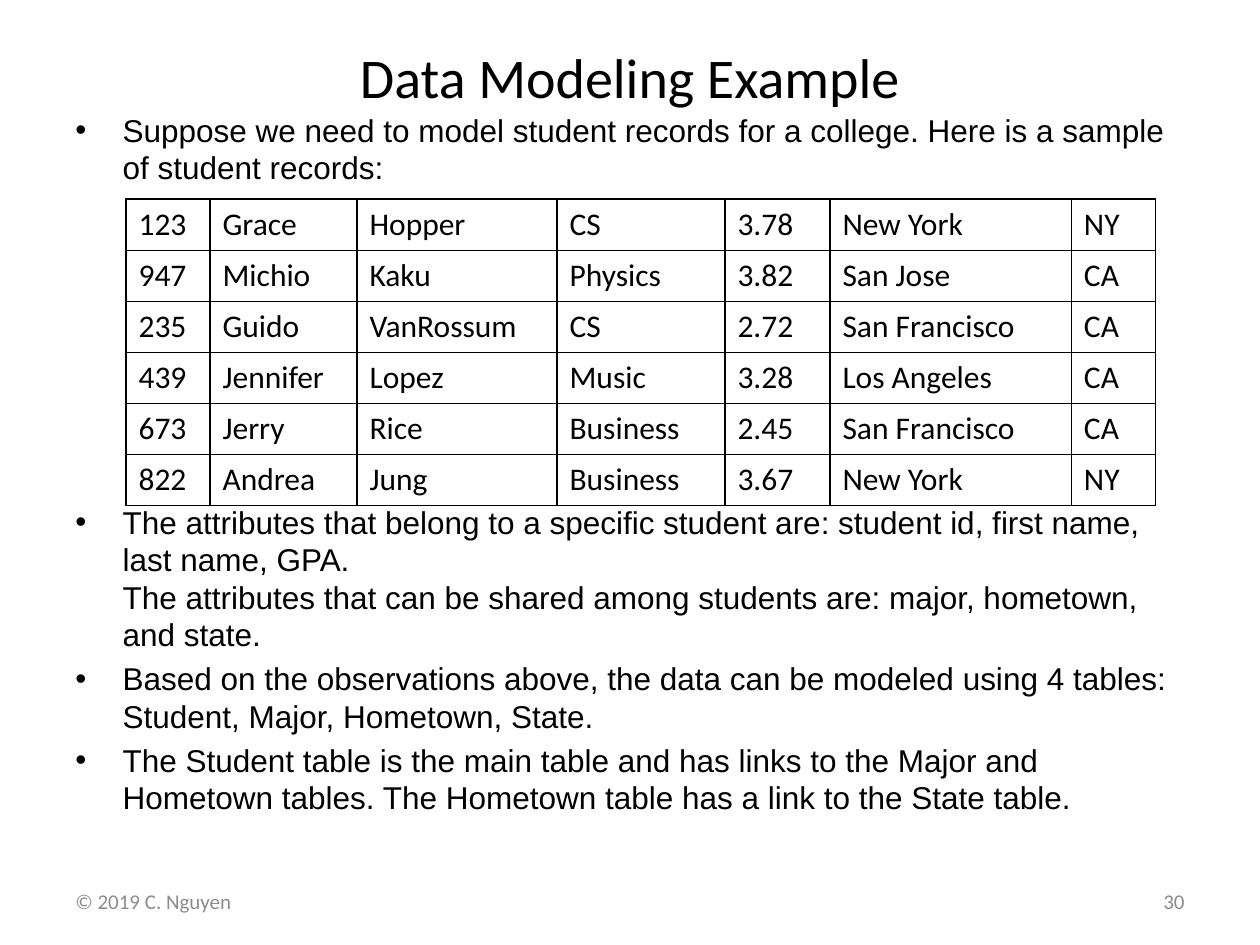
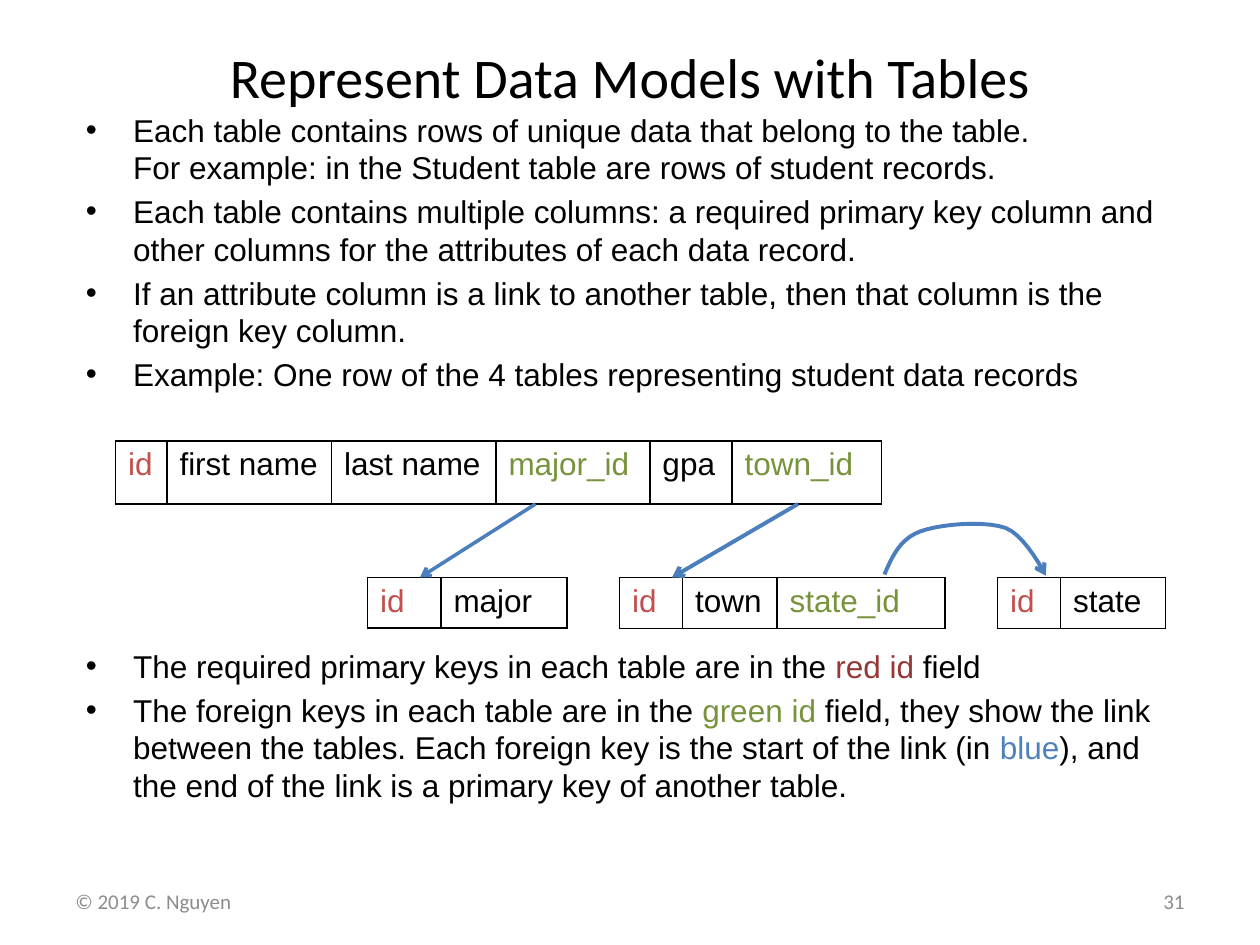
from dataclasses import dataclass

from lxml import etree
from pptx import Presentation
from pptx.dml.color import RGBColor
from pptx.enum.shapes import MSO_CONNECTOR
from pptx.enum.text import MSO_ANCHOR, MSO_AUTO_SIZE, PP_ALIGN
from pptx.oxml.ns import qn
from pptx.util import Pt

LEFT, CENTER, RIGHT = PP_ALIGN.LEFT, PP_ALIGN.CENTER, PP_ALIGN.RIGHT
MIDDLE = MSO_ANCHOR.MIDDLE
STRAIGHT = MSO_CONNECTOR.STRAIGHT
TITLE_ONLY = 5


@dataclass(frozen=True)
class Theme:
    black: str = "000000"
    white: str = "FFFFFF"
    grey: str = "8C8C8C"
    primary_key: str = "C0504D"
    foreign_key: str = "77933C"
    dark_red: str = "953735"
    blue: str = "4F81BD"
    link: str = "4B7EBC"
    heading_font: str = "Calibri"
    body_font: str = "Arial"
    title_size: float = 32
    body_size: float = 18
    footer_size: float = 12
    line_pitch: float = 21.5
    paragraph_gap: float = 3.6
    bullet_indent: float = 27


THEME = Theme()

# Content: a bullet is a list of (text, colour) runs or a plain string
COPYRIGHT = "© 2019 C. Nguyen"

MODELING_INTRO = [
    "Suppose we need to model student records for a college. Here is a sample of student records:",
]
MODELING_NOTES = [
    "The attributes that belong to a specific student are: student id, first name, last name, GPA.\n"
    "The attributes that can be shared among students are: major, hometown, and state.",
    "Based on the observations above, the data can be modeled using 4 tables: "
    "Student, Major, Hometown, State.",
    "The Student table is the main table and has links to the Major and Hometown tables. "
    "The Hometown table has a link to the State table.",
]
STUDENTS = [
    ("123", "Grace", "Hopper", "CS", "3.78", "New York", "NY"),
    ("947", "Michio", "Kaku", "Physics", "3.82", "San Jose", "CA"),
    ("235", "Guido", "VanRossum", "CS", "2.72", "San Francisco", "CA"),
    ("439", "Jennifer", "Lopez", "Music", "3.28", "Los Angeles", "CA"),
    ("673", "Jerry", "Rice", "Business", "2.45", "San Francisco", "CA"),
    ("822", "Andrea", "Jung", "Business", "3.67", "New York", "NY"),
]
STUDENT_WIDTHS = (48, 84, 114.3, 96, 60, 138, 48)

TABLE_RULES = [
    "Each table contains rows of unique data that belong to the table.\n"
    "For example: in the Student table are rows of student records.",
    "Each table contains multiple columns: a required primary key column and "
    "other columns for the attributes of each data record.",
    "If an attribute column is a link to another table, then that column is the foreign key column.",
    "Example: One row of the 4 tables representing student data records",
]
KEY_NOTES = [
    [("The required primary keys in each table are in the ", THEME.black),
     ("red id ", THEME.dark_red), ("field", THEME.black)],
    [("The foreign keys in each table are in the ", THEME.black),
     ("green id ", THEME.foreign_key),
     ("field, they show the link between the tables. "
      "Each foreign key is the start of the link (in ", THEME.black),
     ("blue", THEME.blue),
     ("), and the end of the link is a primary key of another table.", THEME.black)],
]
# left, top, row height, column widths, column names
SCHEMAS = [
    (66, 252, 36, (29.4, 94, 94, 88, 47, 85.4),
     ("id", "first name", "last name", "major_id", "gpa", "town_id")),
    (210, 330, 27.7, (42, 72), ("id", "major")),
    (354, 330, 29.2, (36, 54, 96), ("id", "town", "state_id")),
    (570, 330, 29.2, (36, 60), ("id", "state")),
]
# start, end, line width
KEY_LINKS = [((306, 288), (240, 330), 2), ((456, 288), (384, 330), 2.25)]
STATE_LINK_WIDTH = 2.25
STATE_LINK_CURVES = [
    ((505.4, 328.3), (509.8, 318.2), (514.1, 308.2), (525.6, 303.8)),
    ((525.6, 303.8), (537.1, 299.5), (562.3, 297.4), (574.6, 301.7)),
    ((574.6, 301.7), (586.1, 306), (597.6, 329), (597.6, 329)),
]


def style(font, name, size, color=THEME.black):
    font.name, font.size = name, Pt(size)
    font.color.rgb = RGBColor.from_string(color)


def add_child(parent, tag, **attributes):
    return etree.SubElement(parent, qn(tag), attributes)


# Shared parts
def add_footer(slide, left, text, align):
    box = slide.shapes.add_textbox(Pt(left), Pt(500.4), Pt(168), Pt(28.8))
    frame = box.text_frame
    frame.word_wrap, frame.vertical_anchor = True, MIDDLE
    paragraph = frame.paragraphs[0]
    paragraph.text, paragraph.alignment = text, align
    style(paragraph.font, THEME.heading_font, THEME.footer_size, THEME.grey)


def new_slide(deck, title, number):
    slide = deck.slides.add_slide(deck.slide_layouts[TITLE_ONLY])
    heading = slide.shapes.title
    heading.left, heading.top, heading.width, heading.height = Pt(36), Pt(12.2), Pt(648), Pt(62.6)
    frame = heading.text_frame
    frame.text = title
    frame.vertical_anchor, frame.auto_size = MIDDLE, MSO_AUTO_SIZE.NONE
    frame.paragraphs[0].alignment = CENTER
    style(frame.paragraphs[0].font, THEME.heading_font, THEME.title_size)
    add_footer(slide, 36, COPYRIGHT, LEFT)
    add_footer(slide, 516, str(number), RIGHT)
    return slide


def add_bullets(slide, left, top, width, height, bullets):
    frame = slide.shapes.add_textbox(Pt(left), Pt(top), Pt(width), Pt(height)).text_frame
    frame.word_wrap = True
    for index, bullet in enumerate(bullets):
        paragraph = frame.add_paragraph() if index else frame.paragraphs[0]
        paragraph.line_spacing = Pt(THEME.line_pitch)
        paragraph.space_before = Pt(THEME.paragraph_gap if index else 0)
        style(paragraph.font, THEME.body_font, THEME.body_size)
        if isinstance(bullet, str):
            paragraph.text = bullet.replace("\n", "\v")
        else:
            for text, color in bullet:
                run = paragraph.add_run()
                run.text = text
                style(run.font, THEME.body_font, THEME.body_size, color)
        properties = paragraph._p.get_or_add_pPr()
        indent = Pt(THEME.bullet_indent)
        properties.set("marL", str(indent))
        properties.set("indent", str(-indent))
        bullet_font = etree.Element(qn("a:buFont"), typeface=THEME.body_font)
        bullet_mark = etree.Element(qn("a:buChar"), char="•")
        defaults = properties.find(qn("a:defRPr"))
        defaults.addprevious(bullet_font)
        defaults.addprevious(bullet_mark)


def border_cell(cell):
    properties = cell._tc.get_or_add_tcPr()
    for position, side in enumerate(("a:lnL", "a:lnR", "a:lnT", "a:lnB")):
        line = etree.Element(qn(side), w=str(Pt(1)))
        add_child(add_child(line, "a:solidFill"), "a:srgbClr", val=THEME.black)
        properties.insert(position, line)


def key_color(name):
    if name == "id":
        return THEME.primary_key
    return THEME.foreign_key if name.endswith("_id") else THEME.black


def add_grid(slide, left, top, row_height, widths, rows, font_name):
    table = slide.shapes.add_table(len(rows), len(widths), Pt(left), Pt(top),
                                   Pt(sum(widths)), Pt(row_height * len(rows))).table
    table.first_row = table.horz_banding = False
    for column, width in zip(table.columns, widths):
        column.width = Pt(width)
    for row, values in zip(table.rows, rows):
        row.height = Pt(row_height)
        for cell, value in zip(row.cells, values):
            cell.text = value
            style(cell.text_frame.paragraphs[0].font, font_name, THEME.body_size, key_color(value))
            cell.fill.solid()
            cell.fill.fore_color.rgb = RGBColor.from_string(THEME.white)
            border_cell(cell)


# Links between tables
def style_link(line, width):
    line.color.rgb = RGBColor.from_string(THEME.link)
    line.width = Pt(width)
    add_child(line._get_or_add_ln(), "a:tailEnd", type="arrow")


def add_link(slide, start, end, width):
    link = slide.shapes.add_connector(STRAIGHT, *map(Pt, start + end))
    style_link(link.line, width)
    add_child(link._element.spPr, "a:effectLst")


def curve_points(curve, steps=10):
    for step in range(1, steps + 1):
        t = step / steps
        weights = ((1 - t) ** 3, 3 * t * (1 - t) ** 2, 3 * t ** 2 * (1 - t), t ** 3)
        yield tuple(Pt(sum(w * point[axis] for w, point in zip(weights, curve)))
                    for axis in (0, 1))


def add_curved_link(slide, curves, width):
    start_x, start_y = curves[0][0]
    builder = slide.shapes.build_freeform(Pt(start_x), Pt(start_y))
    points = [point for curve in curves for point in curve_points(curve)]
    builder.add_line_segments(points, close=False)
    link = builder.convert_to_shape()
    link.fill.background()
    style_link(link.line, width)
    link.shadow.inherit = False


def build_modeling_example(deck):
    slide = new_slide(deck, "Data Modeling Example", 30)
    add_bullets(slide, 36, 59.8, 642, 52, MODELING_INTRO)
    add_bullets(slide, 36, 283.8, 642, 200, MODELING_NOTES)
    add_grid(slide, 72, 113.8, 29.2, STUDENT_WIDTHS, STUDENTS, THEME.heading_font)


def build_table_models(deck):
    slide = new_slide(deck, "Represent Data Models with Tables", 31)
    add_bullets(slide, 42, 59.8, 636, 170, TABLE_RULES)
    add_bullets(slide, 42, 366.3, 636, 100, KEY_NOTES)
    for left, top, row_height, widths, names in SCHEMAS:
        add_grid(slide, left, top, row_height, widths, [names], THEME.body_font)
    for start, end, width in KEY_LINKS:
        add_link(slide, start, end, width)
    add_curved_link(slide, STATE_LINK_CURVES, STATE_LINK_WIDTH)


def main():
    deck = Presentation()
    deck.slide_width, deck.slide_height = Pt(720), Pt(540)
    build_modeling_example(deck)
    build_table_models(deck)
    deck.save("out.pptx")


if __name__ == "__main__":
    main()
